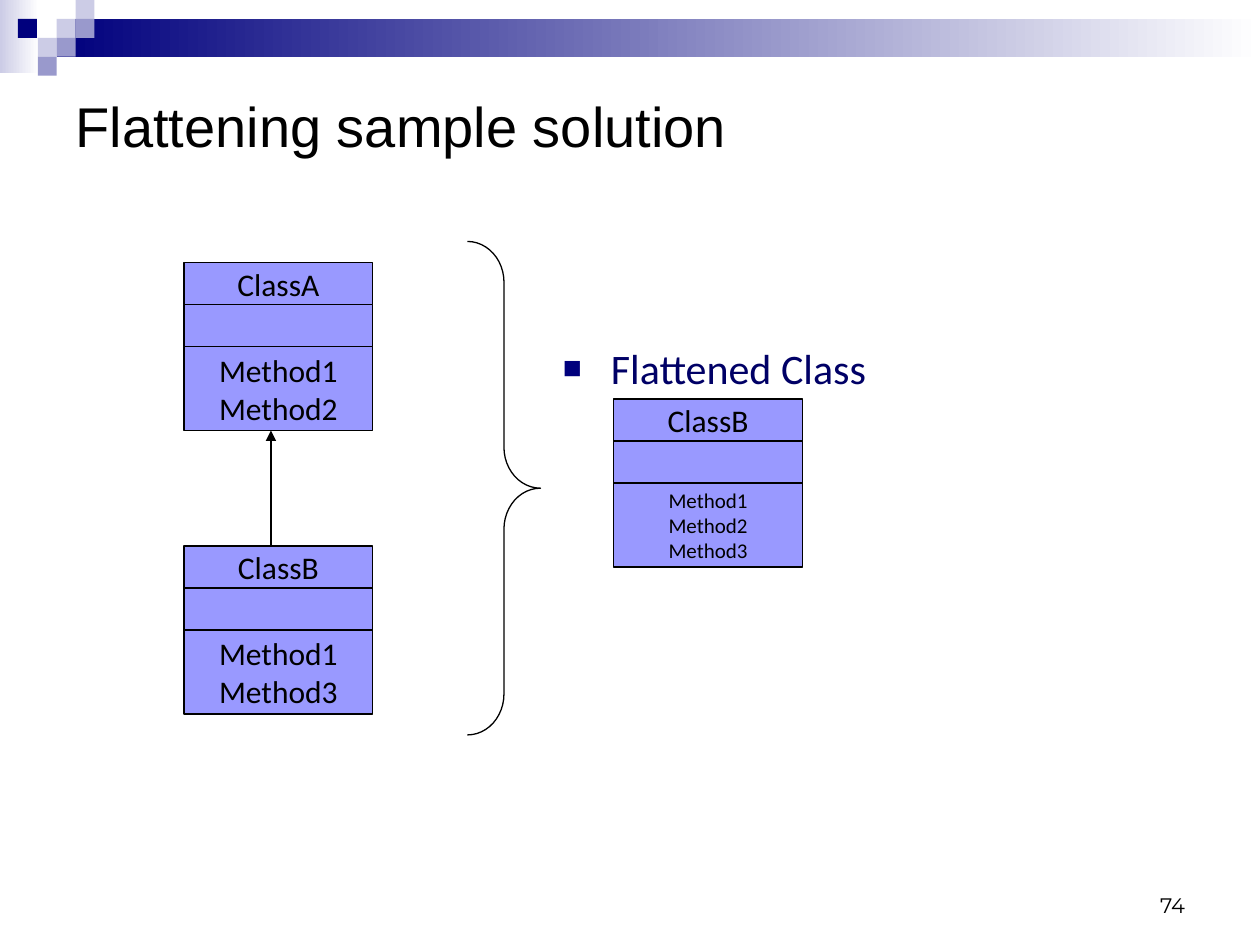
from lxml.etree import SubElement
from pptx import Presentation
from pptx.dml.color import RGBColor
from pptx.enum.shapes import MSO_CONNECTOR, MSO_SHAPE
from pptx.enum.text import MSO_ANCHOR, PP_ALIGN
from pptx.oxml.ns import qn
from pptx.util import Inches, Pt


def rgb(hex_colour):
    return RGBColor.from_string(hex_colour)


def add_block(left, top, width, height, fill, line=None, kind=MSO_SHAPE.RECTANGLE):
    """Add a shape; fill is one colour, a (from, to) pair or None."""
    block = slide.shapes.add_shape(
        kind, Inches(left), Inches(top), Inches(width), Inches(height))
    block.shadow.inherit = False
    if fill is None:
        block.fill.background()
    elif isinstance(fill, tuple):
        block.fill.gradient()
        block.fill.gradient_angle = 0
        for stop, colour in zip(block.fill.gradient_stops, fill):
            stop.color.rgb = rgb(colour)
    else:
        block.fill.solid()
        block.fill.fore_color.rgb = rgb(fill)
    if line:
        block.line.color.rgb = rgb(line)
        block.line.width = Pt(0.75)
    else:
        block.line.fill.background()
    return block


WIDTH, HEIGHT = 10, 7.5
BLACK, WHITE, NAVY = "000000", "FFFFFF", "00007D"
PALE, MID, CLASS_FILL = "CCCCE6", "9999CC", "9999FF"
ROW = HEIGHT / 22.5  # height of a class name row
TILE = 0.15  # side of a header square

prs = Presentation()
prs.slide_width, prs.slide_height = Inches(WIDTH), Inches(HEIGHT)
slide = prs.slides.add_slide(prs.slide_layouts[5])

# Header band with its squares, by column and row of tiles
add_block(0, 0, 0.31, 0.58, (PALE, WHITE))
add_block(3 * TILE, TILE, WIDTH - 3 * TILE, 2 * TILE, (NAVY, WHITE))
for column, row, colour in [
    (3, 1, PALE), (4, 0, PALE), (4, 1, MID), (2, 2, PALE),
    (0.95, 1, NAVY), (3, 2, MID), (2, 3, MID),
]:
    add_block(column * TILE, row * TILE, TILE, TILE, colour)

# Title
title = slide.shapes.title
title.left, title.top = Inches(0.05 * WIDTH), Inches(0.58)
title.width, title.height = Inches(0.9 * WIDTH), Inches(2.5 * ROW)
title.text_frame.text = "Flattening sample solution"
title.text_frame.vertical_anchor = MSO_ANCHOR.MIDDLE
heading = title.text_frame.paragraphs[0]
heading.alignment = PP_ALIGN.LEFT
heading.font.name, heading.font.size = "Arial", Pt(32)
heading.font.color.rgb = rgb(BLACK)

# Classes: name, attributes and methods stacked in rows
CLASS_LEFT, CLASS_WIDTH = 1.46, 1.5
PARENT_ROW, CHILD_ROW, FLAT_ROW, CLASS_ROWS = 6.25, 13, 9.5, 4
for left, first_row, name, methods, method_size in [
    (CLASS_LEFT, PARENT_ROW, "ClassA", "Method1\nMethod2", 18),
    (CLASS_LEFT, CHILD_ROW, "ClassB", "Method1\nMethod3", 18),
    (4.87, FLAT_ROW, "ClassB", "Method1\nMethod2\nMethod3", 12),
]:
    for offset, rows, words, size in [
        (0, 1, name, 18), (1, 1, "", 18), (2, 2, methods, method_size),
    ]:
        compartment = add_block(left, (first_row + offset) * ROW,
                                CLASS_WIDTH, rows * ROW, CLASS_FILL, BLACK)
        if not words:
            continue
        frame = compartment.text_frame
        frame.text = words
        frame.word_wrap = False
        frame.vertical_anchor = MSO_ANCHOR.MIDDLE
        for paragraph in frame.paragraphs:
            paragraph.alignment = PP_ALIGN.CENTER
            paragraph.font.name, paragraph.font.size = "Calibri", Pt(size)
            paragraph.font.color.rgb = rgb(BLACK)

# Inheritance arrow from child to parent
inheritance = slide.shapes.add_connector(
    MSO_CONNECTOR.STRAIGHT,
    Inches(2.15), Inches(CHILD_ROW * ROW),
    Inches(2.15), Inches((PARENT_ROW + CLASS_ROWS) * ROW))
inheritance.line.color.rgb = rgb(BLACK)
inheritance.line.width = Pt(0.75)
SubElement(inheritance.line._get_or_add_ln(), qn("a:tailEnd"), type="triangle")
SubElement(inheritance._element.spPr, qn("a:effectLst"))

# Brace joining the hierarchy to its flattened form
brace = add_block(3.71, 5.75 * ROW, 0.58, 11.75 * ROW, None, BLACK,
                  MSO_SHAPE.RIGHT_BRACE)
brace.adjustments[0] = 0.56

# Bulleted caption
caption = slide.shapes.add_textbox(
    Inches(4.37), Inches(8 * ROW), Inches(4.83), Inches(6.5 * ROW))
caption.text_frame.word_wrap = True
bullet = caption.text_frame.paragraphs[0]
bullet.text = "Flattened Class"
bullet.space_before = Pt(6)
bullet.font.name, bullet.font.size = "Calibri", Pt(24)
bullet.font.color.rgb = rgb("000066")
bullet_format = bullet._p.get_or_add_pPr()
bullet_format.set("marL", str(Inches(0.38)))
bullet_format.set("indent", str(-Inches(0.38)))
marker = [("a:buClr", {}), ("a:buSzPct", {"val": "75000"}),
          ("a:buFont", {"typeface": "Arial"}), ("a:buChar", {"char": "■"})]
position = list(bullet_format).index(bullet_format.find(qn("a:defRPr")))
for shift, (tag, attributes) in enumerate(marker):
    part = SubElement(bullet_format, qn(tag), **attributes)
    bullet_format.insert(position + shift, part)
SubElement(bullet_format.find(qn("a:buClr")), qn("a:srgbClr"), val=NAVY)

# Page number
page = slide.shapes.add_textbox(
    Inches(7.17), Inches(20.5 * ROW), Inches(7 * ROW), Inches(1.5 * ROW))
page.text_frame.word_wrap = True
page.text_frame.vertical_anchor = MSO_ANCHOR.BOTTOM
number = page.text_frame.paragraphs[0]
number.text = "74"
number.alignment = PP_ALIGN.RIGHT
number.font.name, number.font.size = "Montserrat", Pt(12)
number.font.color.rgb = rgb(BLACK)

prs.save("out.pptx")
